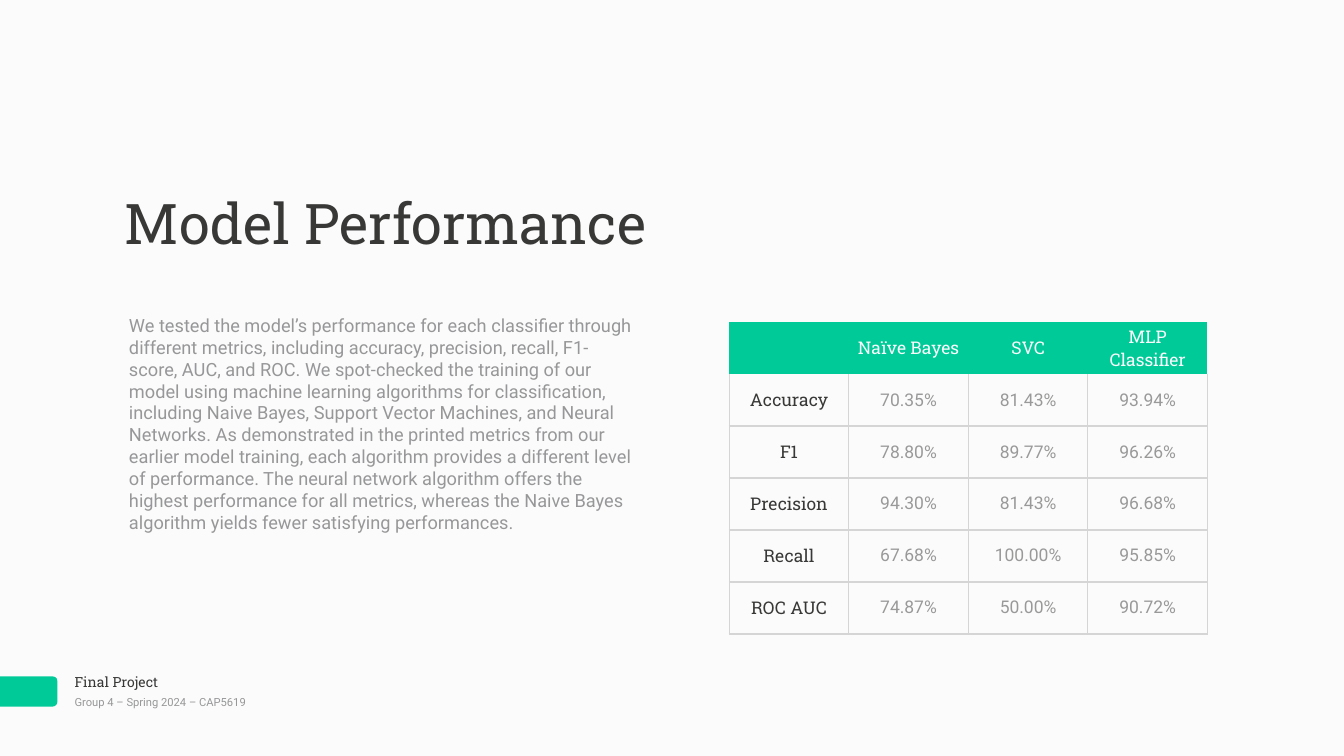
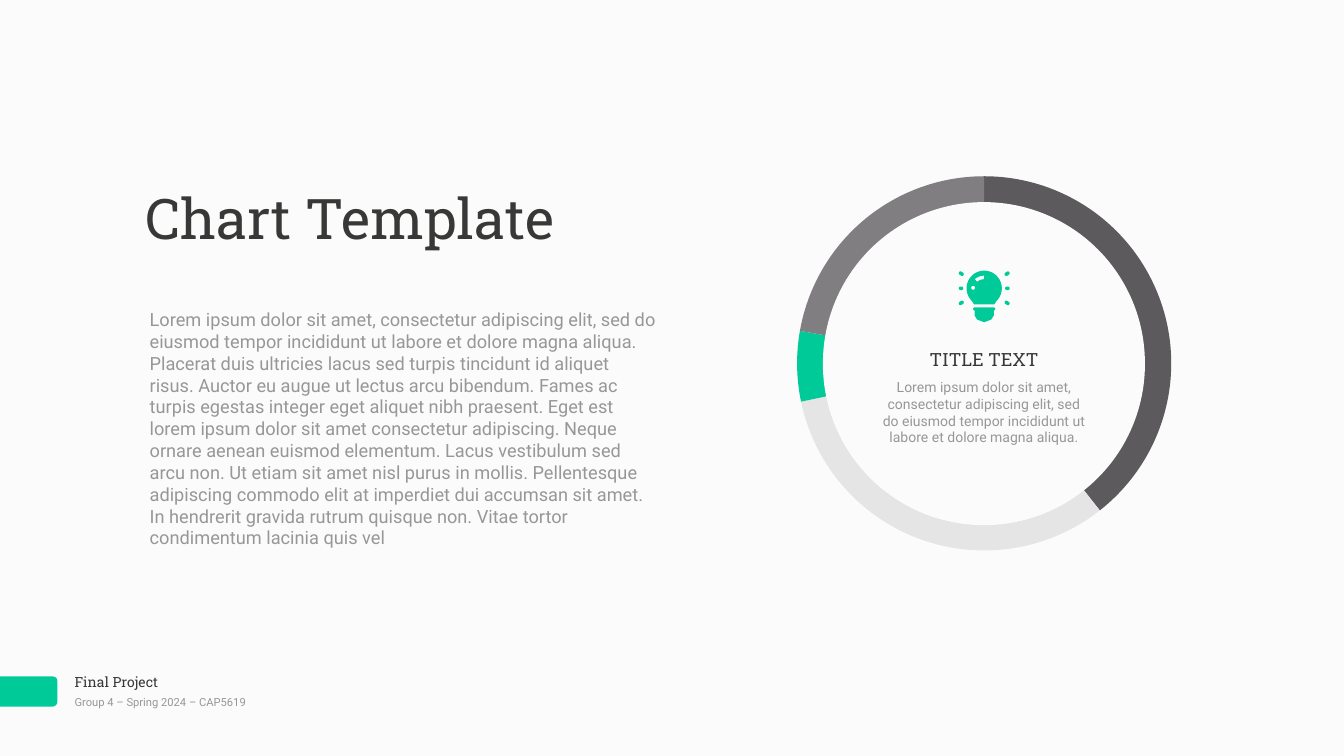
import math
from dataclasses import dataclass

import pptx
import pptx.chart.data
import pptx.dml.color
import pptx.enum.chart
import pptx.enum.shapes
import pptx.enum.text
import pptx.oxml
import pptx.oxml.ns
import pptx.util
from pptx.util import Inches

COLORS = {
    "background": "FAFBFA",
    "accent": "00CB98",
    "dark": "383937",
    "muted": "979799",
    "value": "9A9999",
    "white": "FBFBFC",
    "disc": "FBFBFB",
    "border": "D5D5D5",
    "charcoal": "5C5A5C",
    "silver": "E5E5E5",
    "gray": "807E80",
}
SLAB, SANS = "Roboto Slab", "Roboto"
INSET = Inches(0.06)
MIDDLE = pptx.enum.text.MSO_ANCHOR.MIDDLE
TOP = pptx.enum.text.MSO_ANCHOR.TOP
LEFT = pptx.enum.text.PP_ALIGN.LEFT
CENTER = pptx.enum.text.PP_ALIGN.CENTER
ROUNDED = pptx.enum.shapes.MSO_SHAPE.ROUNDED_RECTANGLE

Point = tuple[float, float]


@dataclass(frozen=True)
class Box:
    left: float
    top: float
    width: float
    height: float

    def lengths(self) -> tuple:
        return tuple(map(Inches, (self.left, self.top, self.width, self.height)))


@dataclass(frozen=True)
class PieSlice:
    label: str
    value: int
    color: str


METRICS = [
    ("", "Naïve Bayes", "SVC", "MLP\nClassifier"),
    ("Accuracy", "70.35%", "81.43%", "93.94%"),
    ("F1", "78.80%", "89.77%", "96.26%"),
    ("Precision", "94.30%", "81.43%", "96.68%"),
    ("Recall", "67.68%", "100.00%", "95.85%"),
    ("ROC AUC", "74.87%", "50.00%", "90.72%"),
]
PIE_SLICES = [
    PieSlice("1", 39, "charcoal"),
    PieSlice("2", 32, "silver"),
    PieSlice("3", 6, "accent"),
    PieSlice("4", 22, "gray"),
]
PERFORMANCE_TEXT = (
    "We tested the model’s performance for each classifier through different metrics, "
    "including accuracy, precision, recall, F1-score, AUC, and ROC. We spot-checked the "
    "training of our model using machine learning algorithms for classification, including "
    "Naive Bayes, Support Vector Machines, and Neural Networks. As demonstrated in the "
    "printed metrics from our earlier model training, each algorithm provides a different "
    "level of performance. The neural network algorithm offers the highest performance for "
    "all metrics, whereas the Naive Bayes algorithm yields fewer satisfying performances."
)
LOREM_START = (
    "Lorem ipsum dolor sit amet, consectetur adipiscing elit, sed do eiusmod tempor "
    "incididunt ut labore et dolore magna aliqua."
)
LOREM_TEXT = LOREM_START + (
    " Placerat duis ultricies lacus sed turpis tincidunt id aliquet risus. Auctor eu augue "
    "ut lectus arcu bibendum. Fames ac turpis egestas integer eget aliquet nibh praesent. "
    "Eget est lorem ipsum dolor sit amet consectetur adipiscing. Neque ornare aenean euismod "
    "elementum. Lacus vestibulum sed arcu non. Ut etiam sit amet nisl purus in mollis. "
    "Pellentesque adipiscing commodo elit at imperdiet dui accumsan sit amet. In hendrerit "
    "gravida rutrum quisque non. Vitae tortor condimentum lacinia quis vel"
)


def rgb(color: str) -> pptx.dml.color.RGBColor:
    return pptx.dml.color.RGBColor.from_string(COLORS[color])


def write_text(text_frame, text: str, *, size: float, font: str, color: str, align=LEFT) -> None:
    paragraph = text_frame.paragraphs[0]
    paragraph.text = text
    paragraph.alignment = align
    for run in paragraph.runs:
        run.font.size = pptx.util.Pt(size)
        run.font.name = font
        run.font.bold = False
        run.font.color.rgb = rgb(color)


def add_text(slide, box: Box, text: str, *, anchor=TOP, **text_format) -> None:
    text_frame = slide.shapes.add_textbox(*box.lengths()).text_frame
    text_frame.word_wrap = True
    text_frame.auto_size = pptx.enum.text.MSO_AUTO_SIZE.SHAPE_TO_FIT_TEXT
    text_frame.vertical_anchor = anchor
    text_frame.margin_left = text_frame.margin_right = INSET
    text_frame.margin_top = text_frame.margin_bottom = INSET
    write_text(text_frame, text, **text_format)


def paint(shape, color: str) -> None:
    shape.shadow.inherit = False
    shape.fill.solid()
    shape.fill.fore_color.rgb = rgb(color)
    shape.line.fill.background()


def add_rounded(slide, box: Box, color: str, rounding: float) -> None:
    shape = slide.shapes.add_shape(ROUNDED, *box.lengths())
    shape.adjustments[0] = rounding
    paint(shape, color)


def add_base_slide(presentation, title: str, title_box: Box, body: str, body_box: Box):
    """Add a slide with the shared background, footer, title and body text."""
    slide = presentation.slides.add_slide(presentation.slide_layouts[6])
    slide.background.fill.solid()
    slide.background.fill.fore_color.rgb = rgb("background")
    add_text(slide, Box(1.42, 13.3, 3.19, 0.45), "Final Project",
             size=20, font=SLAB, color="dark")
    add_text(slide, Box(1.42, 13.73, 4.72, 0.38), "Group 4 – Spring 2024 – CAP5619",
             size=16, font=SANS, color="muted", anchor=MIDDLE)
    add_rounded(slide, Box(-0.1, 13.42, 1.24, 0.6), "accent", 0.16)
    add_text(slide, title_box, title, size=80, font=SLAB, color="dark")
    add_text(slide, body_box, body, size=26, font=SANS, color="muted")
    return slide


def set_borders(cell, visible_sides: str) -> None:
    """Draw the named sides (from L, R, T, B) and blank the others."""
    properties = cell._tc.get_or_add_tcPr()
    for position, side in enumerate("LRTB"):
        if side in visible_sides:
            fill = f'<a:solidFill><a:srgbClr val="{COLORS["border"]}"/></a:solidFill>'
        else:
            fill = "<a:noFill/>"
        properties.insert(position, pptx.oxml.parse_xml(
            f'<a:ln{side} {pptx.oxml.ns.nsdecls("a")} w="{pptx.util.Pt(2)}">{fill}</a:ln{side}>'))


def add_metrics_table(slide, box: Box) -> None:
    table = slide.shapes.add_table(len(METRICS), len(METRICS[0]), *box.lengths()).table
    table.first_row = table.horz_banding = False
    for column in table.columns:
        column.width = Inches(box.width / len(METRICS[0]))
    for row in table.rows:
        row.height = Inches(box.height / len(METRICS))
    for row_index, row_values in enumerate(METRICS):
        for column_index, text in enumerate(row_values):
            cell = table.cell(row_index, column_index)
            cell.vertical_anchor = MIDDLE
            cell.margin_left = cell.margin_right = INSET
            cell.margin_top = cell.margin_bottom = INSET
            if row_index == 0:
                cell.fill.solid()
                cell.fill.fore_color.rgb = rgb("accent")
                font, color, sides = SLAB, "white", ""
            else:
                cell.fill.background()
                font, color = (SANS, "value") if column_index else (SLAB, "dark")
                sides = "LRB" if row_index == 1 else "LRTB"
            set_borders(cell, sides)
            write_text(cell.text_frame, text, size=25, font=font, color=color, align=CENTER)


def add_pie(slide, box: Box) -> None:
    data = pptx.chart.data.CategoryChartData()
    data.categories = [pie_slice.label for pie_slice in PIE_SLICES]
    data.add_series("Series 1", [pie_slice.value for pie_slice in PIE_SLICES])
    chart = slide.shapes.add_chart(
        pptx.enum.chart.XL_CHART_TYPE.PIE, *box.lengths(), data).chart
    chart.has_legend = chart.has_title = False
    chart.font.name = "Arial"
    chart.font.size = pptx.util.Pt(10)
    chart.font.color.rgb = rgb("dark")
    plot = chart.plots[0]
    plot.vary_by_categories = False
    for index, pie_slice in enumerate(PIE_SLICES):
        point_format = plot.series[0].points[index].format
        point_format.fill.solid()
        point_format.fill.fore_color.rgb = rgb(pie_slice.color)
        point_format.line.fill.background()
    plot_area = chart._chartSpace.chart.plotArea
    for layout in plot_area.findall(pptx.oxml.ns.qn("c:layout")):
        plot_area.remove(layout)
    plot_area.insert(0, pptx.oxml.parse_xml(
        f'<c:layout {pptx.oxml.ns.nsdecls("c")}><c:manualLayout>'
        '<c:layoutTarget val="inner"/><c:xMode val="edge"/><c:yMode val="edge"/>'
        '<c:x val="0.005"/><c:y val="0.005"/><c:w val="0.99"/><c:h val="0.99"/>'
        '</c:manualLayout></c:layout>'))


def arc(center: Point, radius: float, start: float, end: float, steps: int = 12) -> list[Point]:
    """Points on an arc, angles in degrees, clockwise from the right."""
    angles = [math.radians(start + (end - start) * step / steps) for step in range(steps + 1)]
    return [(center[0] + radius * math.cos(angle), center[1] + radius * math.sin(angle))
            for angle in angles]


def capsule(start: Point, end: Point, radius: float) -> list[Point]:
    """Outline of a round-ended stroke."""
    angle = math.degrees(math.atan2(end[1] - start[1], end[0] - start[0]))
    return arc(start, radius, angle + 90, angle + 270) + arc(end, radius, angle - 90, angle + 90)


def light_bulb_outlines(x: float, y: float) -> list[list[Point]]:
    """Outlines of a bulb whose glass is centred on x, y."""
    glass = arc((x, y), 0.35, 135, 405, 48) + [(x + 0.2, y + 0.32), (x - 0.2, y + 0.32)]
    shine_center = (x, y + 0.04)
    shine = arc(shine_center, 0.29, 230, 270) + arc(shine_center, 0.22, 270, 230)
    collar = capsule((x - 0.19, y + 0.41), (x + 0.19, y + 0.41), 0.03)
    half_cup = [(0.19, 0.44), (0.19, 0.54), (0.14, 0.62), (0.01, 0.67)]
    cup = [(x + dx, y + dy) for dx, dy in half_cup]
    cup += [(x - dx, y + dy) for dx, dy in reversed(half_cup)]
    outlines = [glass, shine, arc((x - 0.22, y - 0.01), 0.04, 0, 360), collar, cup]
    for side in (-1, 1):
        for level in (-1, 0, 1):
            inner = (x + side * (0.44 if level else 0.45), y + level * 0.28)
            outer = (x + side * 0.47, y + level * 0.3)
            outlines.append(capsule(inner, outer, 0.035))
    return outlines


def add_light_bulb(slide, x: float, y: float) -> None:
    builder = None
    for outline in light_bulb_outlines(x, y):
        points = [(Inches(px), Inches(py)) for px, py in outline]
        if builder is None:
            builder = slide.shapes.build_freeform(*points[0])
        else:
            builder.move_to(*points[0])
        builder.add_line_segments(points[1:], close=True)
    paint(builder.convert_to_shape(), "accent")


def main() -> None:
    presentation = pptx.Presentation()
    presentation.slide_width = Inches(26.67)
    presentation.slide_height = Inches(15)

    performance = add_base_slide(
        presentation, "Model Performance", Box(2.42, 3.69, 10.48, 1.46),
        PERFORMANCE_TEXT, Box(2.5, 6.18, 10.18, 4.49))
    add_metrics_table(performance, Box(14.47, 6.39, 9.49, 6.19))

    template = add_base_slide(
        presentation, "Chart Template", Box(2.83, 3.59, 8.89, 1.46),
        LOREM_TEXT, Box(2.91, 6.06, 10.18, 4.93))
    add_pie(template, Box(15.78, 3.46, 7.5, 7.5))
    add_rounded(template, Box(16.33, 4.01, 6.39, 6.41), "disc", 0.5)
    add_light_bulb(template, 19.53, 5.72)
    add_text(template, Box(17.77, 6.86, 3.52, 0.55), "TITLE TEXT",
             size=26, font=SLAB, color="dark", align=CENTER)
    add_text(template, Box(17.37, 7.45, 4.31, 1.44), LOREM_START,
             size=20, font=SANS, color="muted", align=CENTER)

    presentation.save("out.pptx")


if __name__ == "__main__":
    main()
